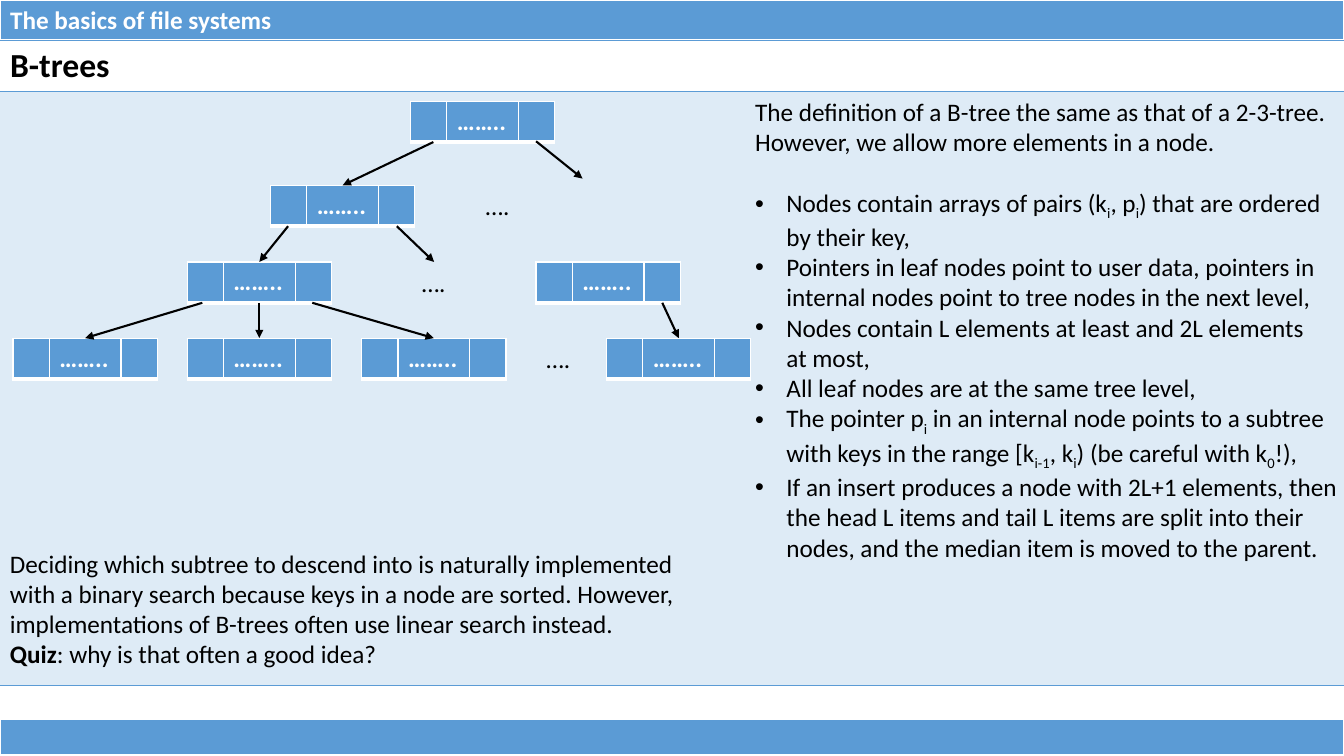
import pptx
import pptx.dml.color
import pptx.enum.shapes
import pptx.enum.text
import pptx.oxml
import pptx.oxml.ns
import pptx.util

Cm = pptx.util.Cm
Pt = pptx.util.Pt
qn = pptx.oxml.ns.qn
RGBColor = pptx.dml.color.RGBColor

BLUE = RGBColor(0x5B, 0x9B, 0xD5)
WHITE = RGBColor(0xFF, 0xFF, 0xFF)
BLACK = RGBColor(0, 0, 0)
FONT = "Calibri"
NO_STYLE = "{2D5ABB26-0587-4C30-8999-92F81FD0307C}"

COURSE = "The basics of file systems"
TITLE = "B-trees"
# In the lists of text parts, every second part is set apart (subscript or bold).
DEFINITION = ["The definition of a B-tree the same as that of a 2-3-tree.\n"
              "However, we allow more elements in a node."]
RULES = [
    ["Nodes contain arrays of pairs (k", "i", ", p", "i", ") that are ordered\nby their key,"],
    ["Pointers in leaf nodes point to user data, pointers in\n"
     "internal nodes point to tree nodes in the next level,"],
    ["Nodes contain L elements at least and 2L elements\nat most,"],
    ["All leaf nodes are at the same tree level,"],
    ["The pointer p", "i", " in an internal node points to a subtree\nwith keys in the range [k",
     "i-1", ", k", "i", ") (be careful with k", "0", "!),"],
    ["If an insert produces a node with 2L+1 elements, then\n"
     "the head L items and tail L items are split into their\n"
     "nodes, and the median item is moved to the parent."],
]
SEARCH = [
    ["Deciding which subtree to descend into is naturally implemented\n"
     "with a binary search because keys in a node are sorted. However, "
     "implementations of B-trees often use linear search instead."],
    ["", "Quiz", ": why is that often a good idea?"],
]

# Tree geometry in cm
SLIDE_W, SLIDE_H = 33.87, 19.05
BAR_H, TITLE_H, PANEL_H = 1.02, 1.29, 14.97
FOOTER_Y = 18.14
KEY_W, DOTS_W, NODE_H = 0.91, 1.81, 1.03
NODE_W = 2 * KEY_W + DOTS_W
GAP_W = 1.12
LEVEL_Y = [2.55, 4.67, 6.6, 8.52]
NODES = {  # name: (level, left)
    "root": (0, 10.35),
    "inner": (1, 6.82),
    "left": (2, 4.72), "right": (2, 13.51),
    "leaf 1": (3, 0.33), "leaf 2": (3, 4.72), "leaf 3": (3, 9.12), "leaf 4": (3, 15.29),
}
GAPS = {"gap 1": (1, 11.99), "gap 2": (2, 10.38), "gap 3": (3, 13.52)}
ARROWS = [  # parent, distance from its left side, child
    ("root", 0.57, "inner"), ("inner", 0.44, "left"), ("inner", 3.18, "gap 2"),
    ("left", 0.38, "leaf 1"), ("left", NODE_W / 2, "leaf 2"), ("left", 3.15, "leaf 3"),
    ("right", 3.18, "leaf 4"),
]
OPEN_ARROW = (13.51, 3.56, 14.68, 4.5)


def add_run(p, text, color=BLACK, size=18, bold=False):
    r = p.add_run()
    r.text = text
    r.font.name, r.font.size, r.font.bold = FONT, Pt(size), bold
    r.font.color.rgb = color
    return r


def add_parts(p, parts, bold_odd=False):
    """Add runs, with odd parts bold or subscript and newlines as line breaks."""
    for i, part in enumerate(parts):
        for j, line in enumerate(part.split("\n")):
            if j:
                p.add_line_break()
            if line:
                r = add_run(p, line, bold=bold_odd and i % 2 == 1)
                if i % 2 and not bold_odd:
                    r.font._element.set("baseline", "-25000")


def add_bullet(p):
    pPr = p._p.get_or_add_pPr()
    pPr.set("marL", str(Cm(0.79)))
    pPr.set("indent", str(-Cm(0.79)))
    ns = pptx.oxml.ns.nsdecls("a")
    pPr.append(pptx.oxml.parse_xml(f'<a:buFont {ns} typeface="Arial"/>'))
    pPr.append(pptx.oxml.parse_xml(f'<a:buChar {ns} char="•"/>'))


def add_textbox(s, x, y, w, h, wrap):
    tf = s.shapes.add_textbox(Cm(x), Cm(y), Cm(w), Cm(h)).text_frame
    tf.word_wrap = wrap
    tf.auto_size = pptx.enum.text.MSO_AUTO_SIZE.SHAPE_TO_FIT_TEXT
    return tf


def add_border(cell, side, color, width):
    """Add a border line; call it before the cell is filled."""
    cell._tc.get_or_add_tcPr().append(pptx.oxml.parse_xml(
        f'<a:{side} {pptx.oxml.ns.nsdecls("a")} w="{Pt(width)}"><a:solidFill>'
        f'<a:srgbClr val="{color}"/></a:solidFill></a:{side}>'))


def add_blue_row(s, x, y, widths, h, texts):
    """Add a one-row table of blue cells with white borders, thicker below."""
    shape = s.shapes.add_table(1, len(widths), Cm(x), Cm(y), Cm(sum(widths)), Cm(h))
    for col, cell, w, text in zip(shape.table.columns, shape.table.rows[0].cells, widths, texts):
        col.width = Cm(w)
        for side, width in (("lnL", 1), ("lnR", 1), ("lnT", 1), ("lnB", 3)):
            add_border(cell, side, WHITE, width)
        cell.fill.solid()
        cell.fill.fore_color.rgb = BLUE
        if text:
            add_run(cell.text_frame.paragraphs[0], text, WHITE, bold=True)
    return shape.table


def add_panel(s):
    """Add the ruled title row and the pale body beneath it."""
    table = s.shapes.add_table(2, 1, 0, Cm(BAR_H), Cm(SLIDE_W), Cm(TITLE_H + PANEL_H)).table
    table._tbl.tblPr.find(qn("a:tableStyleId")).text = NO_STYLE
    table.first_row = table.horz_banding = False
    for row, h in zip(table.rows, (TITLE_H, PANEL_H)):
        row.height = Cm(h)
    head, body = table.cell(0, 0), table.cell(1, 0)
    for cell in (head, body):
        add_border(cell, "lnT", BLUE, 1)
        add_border(cell, "lnB", BLUE, 1)
    add_run(head.text_frame.paragraphs[0], TITLE, size=24, bold=True)
    head.fill.background()
    body.fill.solid()
    body.fill.fore_color.rgb = BLUE
    color = body._tc.tcPr.find(qn("a:solidFill")).find(qn("a:srgbClr"))
    color.append(pptx.oxml.parse_xml(f'<a:alpha {pptx.oxml.ns.nsdecls("a")} val="20000"/>'))


def add_arrow(s, x1, y1, x2, y2):
    line = s.shapes.add_connector(pptx.enum.shapes.MSO_CONNECTOR.STRAIGHT,
                                  Cm(x1), Cm(y1), Cm(x2), Cm(y2))
    line.line.color.rgb = BLACK
    line.line.width = Pt(1.5)
    ns = pptx.oxml.ns.nsdecls("a")
    line.line._get_or_add_ln().append(pptx.oxml.parse_xml(f'<a:tailEnd {ns} type="triangle"/>'))
    line._element.spPr.append(pptx.oxml.parse_xml(f"<a:effectLst {ns}/>"))


def add_tree(s):
    for level, x in NODES.values():
        add_blue_row(s, x, LEVEL_Y[level], (KEY_W, DOTS_W, KEY_W), NODE_H, ("", "……..", ""))
    for level, x in GAPS.values():
        tf = add_textbox(s, x, LEVEL_Y[level], GAP_W, BAR_H, False)
        add_run(tf.paragraphs[0], "….")
    for parent, dx, child in ARROWS:
        level, x = NODES[parent]
        child_level, child_x = NODES.get(child) or GAPS[child]
        child_w = NODE_W if child in NODES else GAP_W
        add_arrow(s, x + dx, LEVEL_Y[level] + NODE_H, child_x + child_w / 2, LEVEL_Y[child_level])
    add_arrow(s, *OPEN_ARROW)


def main():
    prs = pptx.Presentation()
    prs.slide_width, prs.slide_height = Cm(SLIDE_W), Cm(SLIDE_H)
    s = prs.slides.add_slide(prs.slide_layouts[6])

    add_blue_row(s, 0, 0, [SLIDE_W], BAR_H, [COURSE])
    footer = add_blue_row(s, 0, FOOTER_Y, [SLIDE_W], SLIDE_H - FOOTER_Y, [""])
    footer.cell(0, 0).margin_top = footer.cell(0, 0).margin_bottom = 0
    add_panel(s)
    add_tree(s)

    tf = add_textbox(s, 18.78, 2.3, 15.37, 11.79, False)
    add_parts(tf.paragraphs[0], DEFINITION)
    tf.paragraphs[0].space_after = Pt(21.6)
    for rule in RULES:
        p = tf.add_paragraph()
        add_bullet(p)
        add_parts(p, rule)

    tf = add_textbox(s, 0, 13.68, 18.77, 3.33, True)
    add_parts(tf.paragraphs[0], SEARCH[0])
    add_parts(tf.add_paragraph(), SEARCH[1], bold_odd=True)

    prs.save("out.pptx")


if __name__ == "__main__":
    main()
